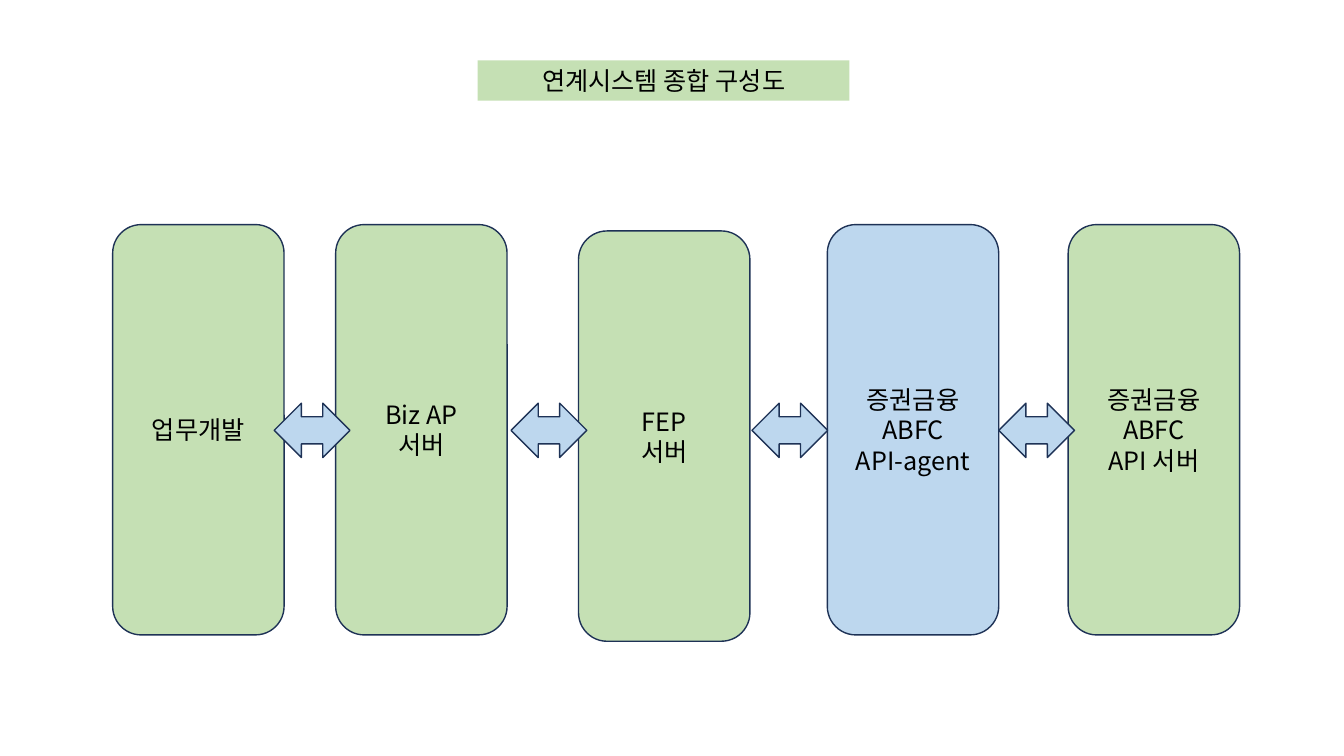
from lxml import etree
from pptx import Presentation
from pptx.dml.color import RGBColor
from pptx.enum import shapes, text
from pptx.oxml.ns import qn
from pptx.util import Cm, Pt

COLORS = {"green": "C5E0B4", "blue": "BDD7EE", "line": "1E3256", "text": "000000"}
FONT = "Noto Sans CJK KR"
BOX_TOP, BOX_W, BOX_H = 5.66, 4.32, 10.34
ARROW_TOP, ARROW_W, ARROW_H = 10.16, 1.91, 1.37
SYSTEMS = [
    (2.84, BOX_TOP, "green", "업무개발"),
    (8.46, BOX_TOP, "green", "Biz AP\n서버"),
    (14.58, 5.82, "green", "FEP\n서버"),
    (20.85, BOX_TOP, "blue", "증권금융\nABFC\nAPI-agent"),
    (26.92, BOX_TOP, "green", "증권금융\nABFC\nAPI 서버"),
]
ARROW_LEFTS = [6.91, 12.88, 18.95, 25.17]


def rgb(name):
    return RGBColor.from_string(COLORS[name])


def add_block(s, kind, left, top, width, height, fill, line="line"):
    sp = s.shapes.add_shape(kind, Cm(left), Cm(top), Cm(width), Cm(height))
    sp.shadow.inherit = False
    sp.fill.solid()
    sp.fill.fore_color.rgb = rgb(fill)
    if line:
        sp.line.color.rgb = rgb(line)
        sp.line.width = Pt(1)
    else:
        sp.line.fill.background()
    return sp


def write_text(sp, content, size=18, color="text", font=FONT):
    tf = sp.text_frame
    tf.word_wrap = True
    tf.vertical_anchor = text.MSO_ANCHOR.MIDDLE
    for i, row in enumerate(content.split("\n")):
        p = tf.add_paragraph() if i else tf.paragraphs[0]
        p.alignment = text.PP_ALIGN.CENTER
        r = p.add_run()
        r.text = row
        r.font.size = Pt(size)
        r.font.name = font
        r.font.color.rgb = rgb(color)
        etree.SubElement(r.font._element, qn("a:ea"), typeface=font)


def main():
    prs = Presentation()
    prs.slide_width, prs.slide_height = Cm(33.87), Cm(19.05)
    s = prs.slides.add_slide(prs.slide_layouts[6])
    kinds = shapes.MSO_SHAPE

    title = add_block(s, kinds.RECTANGLE, 12.04, 1.52, 9.37, 1.02, "green", line=None)
    write_text(title, "연계시스템 종합 구성도")
    for left, top, fill, label in SYSTEMS:
        box = add_block(s, kinds.ROUNDED_RECTANGLE, left, top, BOX_W, BOX_H, fill)
        write_text(box, label)
    for left in ARROW_LEFTS:
        add_block(s, kinds.LEFT_RIGHT_ARROW, left, ARROW_TOP, ARROW_W, ARROW_H, "blue")

    prs.save("out.pptx")


main()
